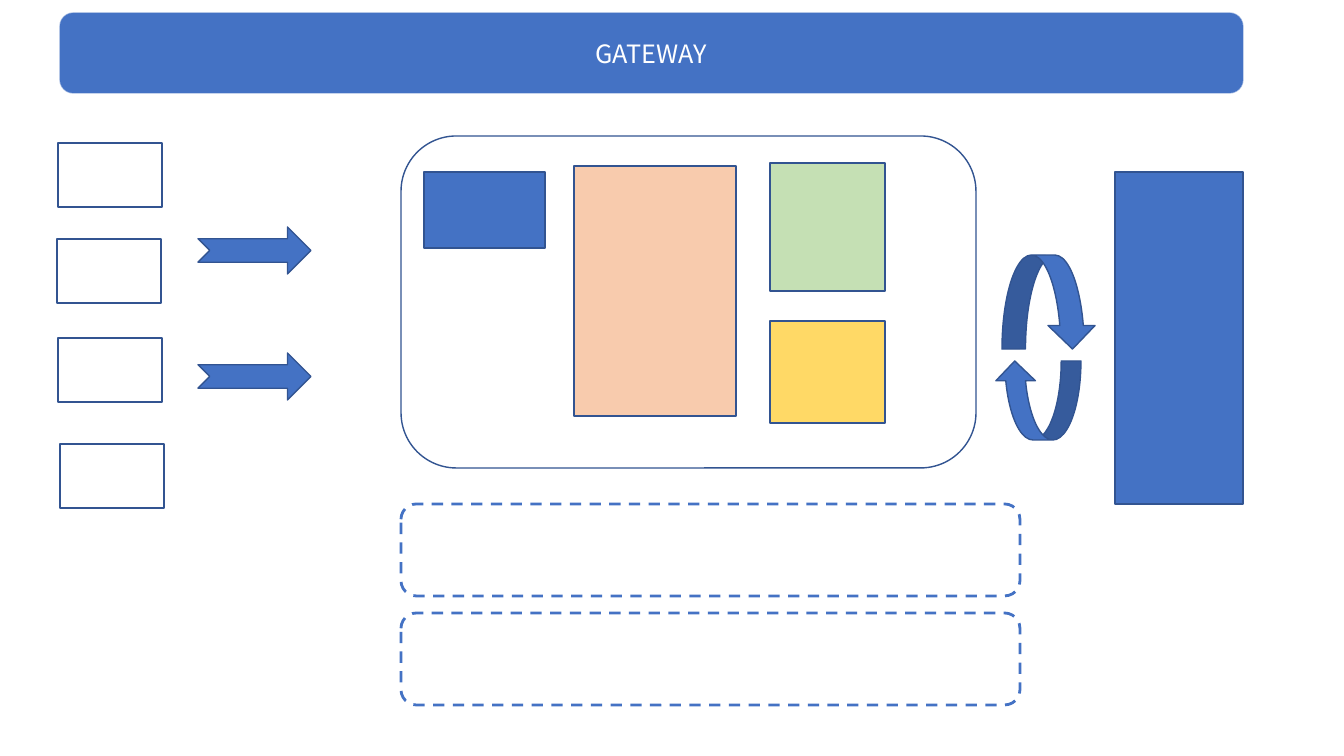
from lxml import etree
from pptx import Presentation
from pptx.dml.color import RGBColor
from pptx.enum.dml import MSO_LINE
from pptx.enum.shapes import MSO_SHAPE as SHAPE
from pptx.enum.text import MSO_ANCHOR, PP_ALIGN
from pptx.oxml.ns import qn
from pptx.util import Emu, Pt

BLUE = RGBColor(0x44, 0x72, 0xC4)
NAVY = RGBColor(0x32, 0x54, 0x91)
PEACH = RGBColor(0xF8, 0xCB, 0xAD)
GREEN = RGBColor(0xC5, 0xE0, 0xB4)
YELLOW = RGBColor(0xFF, 0xD9, 0x66)
WHITE = RGBColor(0xFF, 0xFF, 0xFF)

TITLE = "GATEWAY"
TITLE_FONT = "Noto Sans CJK SC"
TITLE_BOX = (60, 13, 1183, 80)
CORE_BOX = (401, 136, 575, 332)
BLOCKS = [
    ((424, 172, 121, 76), BLUE),
    ((574, 166, 162, 250), PEACH),
    ((770, 163, 115, 128), GREEN),
    ((770, 321, 115, 102), YELLOW),
    ((1115, 172, 128, 332), BLUE),
]
CYCLE = [((1002, 255, 94, 94), 0), ((995, 361, 86, 79), 180)]
LAYER_TOPS = [504, 613]
CLIENTS = [(58, 143), (57, 239), (58, 338), (60, 444)]
REQUEST_TOPS = [227, 353]

SCALE = 914400 / 100.8


def emu(pixels):
    return Emu(round(pixels * SCALE))


prs = Presentation()
prs.slide_width, prs.slide_height = emu(1344), emu(756)
slide = prs.slides.add_slide(prs.slide_layouts[6])


def add(kind, box, fill=None, line=NAVY, weight=1):
    shape = slide.shapes.add_shape(kind, *map(emu, box))
    shape.shadow.inherit = False
    if fill is None:
        shape.fill.background()
    else:
        shape.fill.solid()
        shape.fill.fore_color.rgb = fill
    shape.line.color.rgb = line
    shape.line.width = Pt(weight)
    return shape


gateway = add(SHAPE.ROUNDED_RECTANGLE, TITLE_BOX, BLUE, BLUE)
line_color = gateway.line._get_or_add_ln().find(".//" + qn("a:srgbClr"))
etree.SubElement(line_color, qn("a:alpha")).set("val", "48000")
gateway.text_frame.vertical_anchor = MSO_ANCHOR.MIDDLE
title = gateway.text_frame.paragraphs[0]
title.text = TITLE
title.alignment = PP_ALIGN.CENTER
title.font.name = TITLE_FONT
title.font.size = Pt(18)
title.font.color.rgb = WHITE

add(SHAPE.ROUNDED_RECTANGLE, CORE_BOX)
for box, fill in BLOCKS:
    add(SHAPE.RECTANGLE, box, fill)
for box, angle in CYCLE:
    add(SHAPE.CURVED_DOWN_ARROW, box, BLUE).rotation = angle
for top in LAYER_TOPS:
    layer = add(SHAPE.ROUNDED_RECTANGLE, (401, top, 619, 92), line=BLUE, weight=2)
    layer.line.dash_style = MSO_LINE.DASH
for left, top in CLIENTS:
    add(SHAPE.RECTANGLE, (left, top, 104, 64))
for top in REQUEST_TOPS:
    add(SHAPE.NOTCHED_RIGHT_ARROW, (198, top, 113, 47), BLUE)

prs.save("out.pptx")
